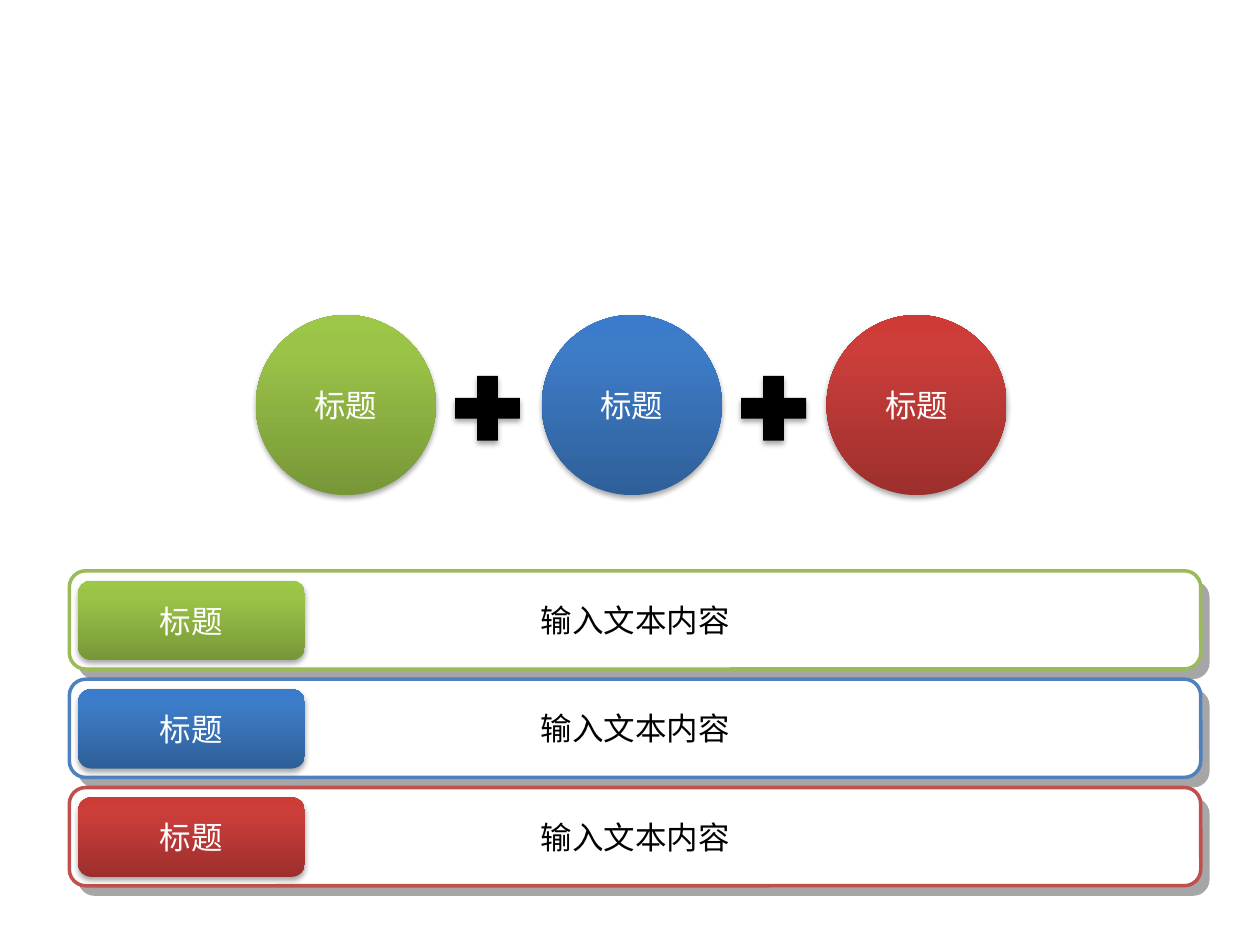
"""Build a slide of three added circles above three matching labelled rows."""
import copy
from dataclasses import dataclass
from typing import Any

import pptx
import pptx.dml.color
import pptx.enum.shapes
import pptx.enum.text
import pptx.oxml
import pptx.oxml.ns
import pptx.util

SCALE = 9144
KIND = pptx.enum.shapes.MSO_SHAPE
CARD = KIND.FLOWCHART_ALTERNATE_PROCESS
COLORS = {"white": "FFFFFF", "black": "000000", "gray": "A6A6A6"}
STOPS = (0, 0.8, 1)
SHADOW = (
    f'<a:effectLst {pptx.oxml.ns.nsdecls("a")}>'
    '<a:outerShdw blurRad="40000" dist="23000" dir="5400000" rotWithShape="0">'
    f'<a:srgbClr val="{COLORS["black"]}"><a:alpha val="35000"/></a:srgbClr>'
    "</a:outerShdw></a:effectLst>"
)


@dataclass(frozen=True)
class Item:
    title: str
    body: str
    edge: str
    shades: tuple[str, str, str]


@dataclass(frozen=True)
class Box:
    left: int
    top: int
    width: int
    height: int


ITEMS = (
    Item("标题", "输入文本内容", "9BBB59", ("779737", "9BC348", "9DC746")),
    Item("标题", "输入文本内容", "4F81BD", ("2F5F99", "3D7CC7", "3A7CCB")),
    Item("标题", "输入文本内容", "C0504D", ("9C2F2D", "CB3E3A", "CE3B37")),
)


def px(size: int) -> pptx.util.Emu:
    return pptx.util.Emu(size * SCALE)


def rgb(code: str) -> pptx.dml.color.RGBColor:
    return pptx.dml.color.RGBColor.from_string(code)


def draw(shapes: Any, kind: Any, box: Box) -> Any:
    shape = shapes.add_shape(
        kind, px(box.left), px(box.top), px(box.width), px(box.height)
    )
    shape.shadow.inherit = False
    shape.line.fill.background()
    return shape


def paint(shape: Any, code: str) -> None:
    shape.fill.solid()
    shape.fill.fore_color.rgb = rgb(code)


def blend(shape: Any, shades: tuple[str, ...]) -> None:
    shape.fill.gradient()
    shape.fill.gradient_angle = 90
    stops = shape.element.spPr.find(".//" + pptx.oxml.ns.qn("a:gsLst"))
    stops.append(copy.deepcopy(stops[-1]))
    for stop, place, shade in zip(shape.fill.gradient_stops, STOPS, shades):
        stop.position = place
        stop.color.rgb = rgb(shade)


def shade(shape: Any) -> None:
    props = shape.element.spPr
    old = props.find(pptx.oxml.ns.qn("a:effectLst"))
    props.replace(old, pptx.oxml.parse_xml(SHADOW))


def write(shape: Any, text: str, code: str) -> None:
    frame = shape.text_frame
    frame.word_wrap = True
    frame.vertical_anchor = pptx.enum.text.MSO_ANCHOR.MIDDLE
    para = frame.paragraphs[0]
    para.alignment = pptx.enum.text.PP_ALIGN.CENTER
    run = para.add_run()
    run.text = text
    run.font.name = "Calibri"
    run.font.size = pptx.util.Pt(18)
    run.font.color.rgb = rgb(code)


def badge(shapes: Any, kind: Any, box: Box, item: Item) -> None:
    shape = draw(shapes, kind, box)
    blend(shape, item.shades)
    shade(shape)
    write(shape, item.title, COLORS["white"])


def panel(shapes: Any, box: Box, item: Item) -> None:
    shape = draw(shapes, CARD, box)
    paint(shape, COLORS["white"])
    shape.line.color.rgb = rgb(item.edge)
    shape.line.width = pptx.util.Pt(2)
    write(shape, item.body, COLORS["black"])


def main() -> None:
    deck = pptx.Presentation()
    deck.slide_width, deck.slide_height = px(1000), px(750)
    shapes = deck.slides.add_slide(deck.slide_layouts[6]).shapes

    lefts = [round(203 + 226.5 * i) for i in range(len(ITEMS))]
    for left, item in zip(lefts, ITEMS):
        badge(shapes, KIND.OVAL, Box(left, 250, 143, 143), item)

    rows = shapes.add_group_shape().shapes
    tops = [453 + 86 * i for i in range(len(ITEMS))]
    for top in tops:
        paint(draw(rows, CARD, Box(62, top + 8, 898, 78)), COLORS["gray"])
    for top, item in zip(tops, ITEMS):
        panel(rows, Box(55, top, 898, 78), item)
    for top, item in zip(tops, ITEMS):
        badge(rows, CARD, Box(62, top + 8, 180, 63), item)

    for left in lefts[:-1]:
        plus = draw(shapes, KIND.MATH_PLUS, Box(left + 149, 289, 70, 70))
        paint(plus, COLORS["black"])
        shade(plus)

    deck.save("out.pptx")


if __name__ == "__main__":
    main()
